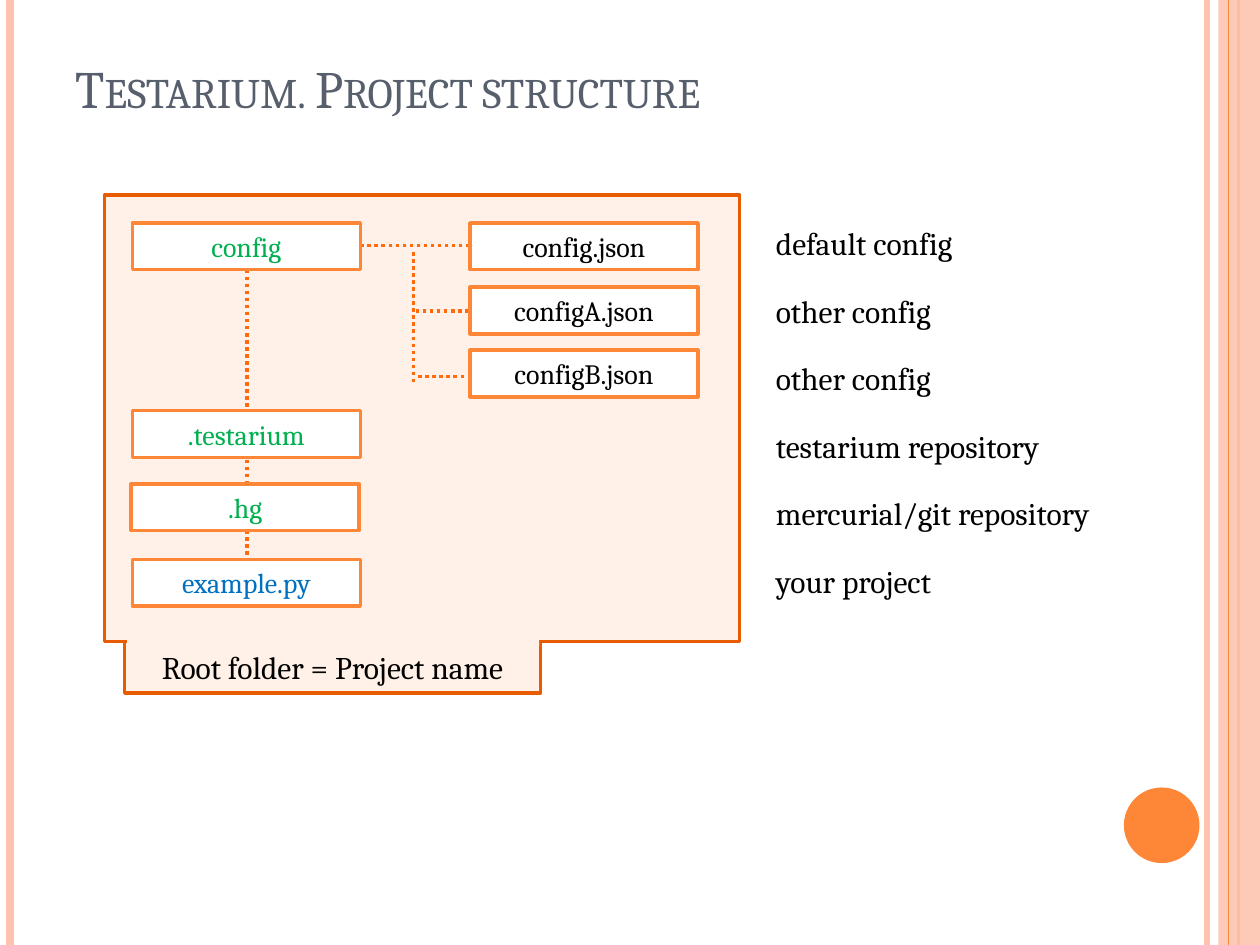
from dataclasses import dataclass

from lxml import etree
from pptx import Presentation
from pptx.dml.color import RGBColor
from pptx.enum import dml, shapes, text
from pptx.oxml import ns
from pptx.util import Inches, Pt


@dataclass(frozen=True)
class Theme:
    font: str = "Cambria"
    title_size: int = 30
    label_size: int = 18
    box_size: int = 16
    title: str = "575F6D"
    ink: str = "000000"
    folder: str = "00B050"
    code: str = "0070C0"
    white: str = "FFFFFF"
    accent: str = "FE8637"
    stripe: str = "FEC3AE"
    panel: str = "FFF1E7"
    border: str = "E75C01"
    branch: str = "FF6B0A"


theme = Theme()
prs = Presentation()
prs.slide_width, prs.slide_height = Inches(10), Inches(7.5)
slide = prs.slides.add_slide(prs.slide_layouts[6])


def add_block(left, top, width, height, fill=None, border=None, words="",
              size=theme.label_size, color=theme.ink, kind=shapes.MSO_SHAPE.RECTANGLE,
              align=text.PP_ALIGN.CENTER, anchor=text.MSO_ANCHOR.MIDDLE):
    """A filled shape, or a text box when there is no fill."""
    place = [Inches(n) for n in (left, top, width, height)]
    if fill:
        block = slide.shapes.add_shape(kind, *place)
        block.shadow.inherit = False
        block.fill.solid()
        block.fill.fore_color.rgb = RGBColor.from_string(fill)
        if border:
            block.line.color.rgb = RGBColor.from_string(border)
            block.line.width = Pt(2)
        else:
            block.line.fill.background()
    else:
        block = slide.shapes.add_textbox(*place)
    if words:
        block.text_frame.word_wrap = True
        block.text_frame.vertical_anchor = anchor
        paragraph = block.text_frame.paragraphs[0]
        paragraph.text = words
        paragraph.alignment = align
        paragraph.font.name = theme.font
        paragraph.font.size = Pt(size)
        paragraph.font.color.rgb = RGBColor.from_string(color)
    return block


def add_line(x1, y1, x2, y2, color=theme.branch, width=2, dotted=True):
    line = slide.shapes.add_connector(
        shapes.MSO_CONNECTOR.STRAIGHT, *(Inches(n) for n in (x1, y1, x2, y2)))
    line.line.color.rgb = RGBColor.from_string(color)
    line.line.width = Pt(width)
    if dotted:
        line.line.dash_style = dml.MSO_LINE.ROUND_DOT
    etree.SubElement(line._element.spPr, ns.qn("a:effectLst"))
    return line


# Page edges
for x, color, width in [(9.58, theme.stripe, 3), (0.08, theme.stripe, 4.5),
                        (9.83, theme.accent, 1.5)]:
    add_line(x, 0, x, 7.5, color, width, dotted=False)
band = add_block(9.67, 0, 0.33, 7.5, theme.stripe)
band_color = band._element.spPr.find(ns.qn("a:solidFill"))[0]
etree.SubElement(band_color, ns.qn("a:alpha"), val="87000")
add_line(9.75, 0, 9.75, 7.5, theme.accent, 0.75, dotted=False)
add_block(8.92, 6.25, 0.6, 0.6, theme.accent, kind=shapes.MSO_SHAPE.OVAL)

# Title
title = add_block(0.5, 0.3, 8.17, 0.69, words="Testarium. Project structure",
                  size=theme.title_size, color=theme.title,
                  align=text.PP_ALIGN.LEFT, anchor=text.MSO_ANCHOR.BOTTOM)
title.text_frame.paragraphs[0].runs[0]._r.get_or_add_rPr().set("cap", "small")

# Root folder panel
add_block(0.83, 1.55, 5.04, 3.54, theme.panel, theme.border)

# Tree branches
for branch in [(2.86, 1.95, 3.73, 1.95), (1.96, 2.14, 1.96, 4.81),
               (3.28, 2, 3.28, 3.03), (3.3, 2.47, 3.73, 2.47),
               (3.32, 2.99, 3.75, 2.99)]:
    add_line(*branch)

# Folders and files
for left, top, name, color in [
    (3.73, 1.77, "config.json", theme.ink),
    (3.73, 2.28, "configA.json", theme.ink),
    (3.73, 2.78, "configB.json", theme.ink),
    (1.05, 1.77, "config", theme.folder),
    (1.05, 3.26, ".testarium", theme.folder),
    (1.04, 3.84, ".hg", theme.folder),
    (1.05, 4.44, "example.py", theme.code),
]:
    add_block(left, top, 1.81, 0.37, theme.white, theme.accent, name,
              theme.box_size, color)

# Explanations
explanations = ["default config", "other config", "other config",
                "testarium repository", "mercurial/git repository", "your project"]
for row, words in enumerate(explanations):
    label = add_block(6.06, 1.73 + row * 0.536, 2.8, 0.41, words=words,
                      align=text.PP_ALIGN.LEFT, anchor=text.MSO_ANCHOR.TOP)
    label.text_frame.paragraphs[0].space_before = Pt(6)

# Root folder tab, joined to the panel
add_block(0.99, 5.09, 3.3, 0.41, theme.panel, theme.border, "Root folder = Project name")
add_block(1.01, 4.93, 3.27, 0.2, theme.panel)

prs.save("out.pptx")
